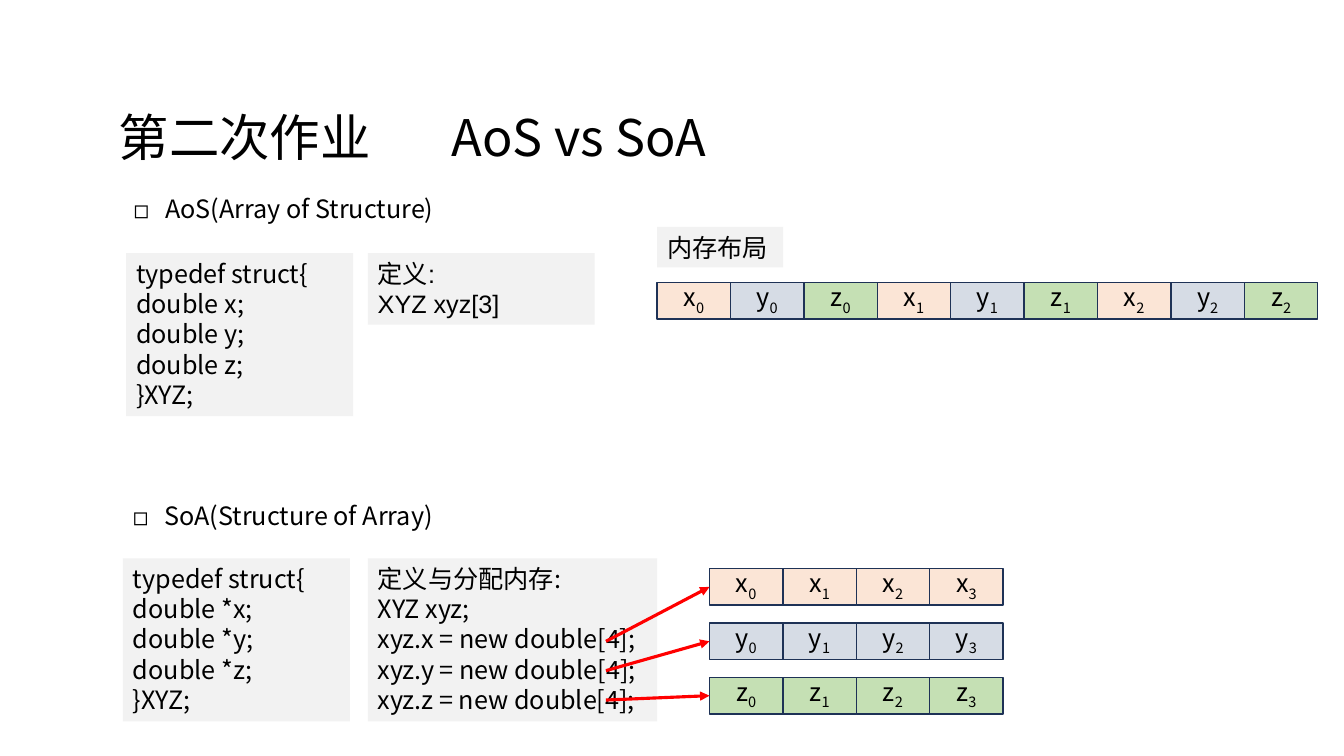
from lxml.etree import SubElement
from pptx import Presentation
from pptx.dml.color import RGBColor
from pptx.enum.shapes import MSO_CONNECTOR as CONNECTOR, MSO_SHAPE as SHAPE
from pptx.enum.text import MSO_ANCHOR as ANCHOR, PP_ALIGN as ALIGN
from pptx.oxml.ns import qn
from pptx.util import Cm, Pt

BLACK = RGBColor(0x00, 0x00, 0x00)
PANEL_GRAY = RGBColor(0xF2, 0xF2, 0xF2)
CELL_BORDER = RGBColor(0x1E, 0x32, 0x56)
ARROW_RED = RGBColor(0xFF, 0x00, 0x00)
FIELD_COLORS = {
    "x": RGBColor(0xFB, 0xE5, 0xD6),
    "y": RGBColor(0xD6, 0xDC, 0xE5),
    "z": RGBColor(0xC5, 0xE0, 0xB4),
}
SANS = "Noto Sans CJK SC"
CELL_W, CELL_H = 1.85, 0.92
ROW_PITCH = 1.37
LINE_PITCH = Pt(21.6)


def style_run(run, size=18, font=SANS):
    run.font.size = Pt(size)
    run.font.name = font
    run.font.color.rgb = BLACK
    SubElement(run._r.get_or_add_rPr(), qn("a:ea"), typeface=SANS)


def add_text(slide, box, text, size, spacing, anchor=ANCHOR.TOP):
    label = slide.shapes.add_textbox(*map(Cm, box))
    frame = label.text_frame
    frame.word_wrap = True
    frame.vertical_anchor = anchor
    frame.text = text
    paragraph = frame.paragraphs[0]
    paragraph.line_spacing = spacing
    style_run(paragraph.runs[0], size)
    return paragraph


def add_rect(slide, box, fill):
    rect = slide.shapes.add_shape(SHAPE.RECTANGLE, *map(Cm, box))
    rect.shadow.inherit = False
    rect.fill.solid()
    rect.fill.fore_color.rgb = fill
    rect.line.fill.background()
    return rect


def add_title(slide, box, text):
    add_text(slide, box, text, 36, 0.9, ANCHOR.MIDDLE)


def add_heading(slide, box, text):
    heading = add_text(slide, box, text, 18, Pt(34))
    props = heading._p.get_or_add_pPr()
    props.set("marL", str(Cm(0.79)))
    props.set("indent", str(-Cm(0.79)))
    SubElement(props, qn("a:buFont"), typeface=SANS)
    SubElement(props, qn("a:buChar"), char="◻")


def add_panel(slide, box, text, font=SANS):
    """Gray panel with left-aligned lines of text."""
    frame = add_rect(slide, box, PANEL_GRAY).text_frame
    frame.word_wrap = True
    frame.vertical_anchor = ANCHOR.TOP
    frame.text = text
    for line in frame.paragraphs:
        line.alignment = ALIGN.LEFT
        line.line_spacing = LINE_PITCH
        style_run(line.runs[0], font=font)


def add_memory_row(slide, left, top, elements):
    """Adjoining memory cells, one per (field, index) pair."""
    for position, (field, index) in enumerate(elements):
        box = (left + position * CELL_W, top, CELL_W, CELL_H)
        cell = add_rect(slide, box, FIELD_COLORS[field])
        cell.line.color.rgb = CELL_BORDER
        cell.line.width = Pt(1)
        cell.text_frame.vertical_anchor = ANCHOR.MIDDLE
        paragraph = cell.text_frame.paragraphs[0]
        paragraph.alignment = ALIGN.CENTER
        paragraph.line_spacing = LINE_PITCH
        for text in (field, str(index)):
            run = paragraph.add_run()
            run.text = text
            style_run(run)
        run.font._element.set("baseline", "-25000")


def add_arrow(slide, start, end):
    arrow = slide.shapes.add_connector(CONNECTOR.STRAIGHT, *map(Cm, start + end))
    arrow.line.color.rgb = ARROW_RED
    arrow.line.width = Pt(2.25)
    SubElement(arrow.line._get_or_add_ln(), qn("a:tailEnd"), type="triangle")
    SubElement(arrow._element.spPr, qn("a:effectLst"))


def add_aos_section(slide, left, top):
    add_heading(slide, (left, top, 25.65, 1.3), "AoS(Array of Structure)")
    code_top = top + 2.06
    add_panel(slide, (left + 0.06, code_top, 5.72, 4.11),
              "typedef struct{\ndouble x;\ndouble y;\ndouble z;\n}XYZ;")
    add_panel(slide, (left + 6.15, code_top, 5.72, 1.8),
              "定义:\nXYZ xyz[3]", "Arial")
    # Fields of each structure lie next to each other
    layout_left = left + 13.44
    add_panel(slide, (layout_left, top + 1.4, 3.18, 1.02), "内存布局", "Arial")
    add_memory_row(slide, layout_left, top + 2.8,
                   [(field, i) for i in range(3) for field in FIELD_COLORS])


def add_soa_section(slide, left, top):
    add_heading(slide, (left, top, 8.84, 1.3), "SoA(Structure of Array)")
    code_top = top + 2.03
    add_panel(slide, (left, code_top, 5.72, 4.11),
              "typedef struct{\ndouble *x;\ndouble *y;\ndouble *z;\n}XYZ;")
    allocations = [f"xyz.{field} = new double[4];" for field in FIELD_COLORS]
    add_panel(slide, (left + 6.17, code_top, 7.29, 4.11),
              "\n".join(["定义与分配内存:", "XYZ xyz;"] + allocations))
    # One array per field, with an arrow from its allocation
    array_left = left + 14.78
    for i, field in enumerate(FIELD_COLORS):
        row_top = top + 2.29 + i * ROW_PITCH
        add_memory_row(slide, array_left, row_top, [(field, n) for n in range(4)])
        add_arrow(slide, (left + 12.17, top + 4.12 + i * 0.74),
                  (array_left, row_top + CELL_H / 2))


def main():
    deck = Presentation()
    deck.slide_width, deck.slide_height = Cm(33.87), Cm(19.05)
    slide = deck.slides.add_slide(deck.slide_layouts[6])
    add_title(slide, (2.74, 2.72, 7.09, 1.63), "第二次作业")
    add_title(slide, (11.13, 2.72, 7.09, 1.63), "AoS vs SoA")
    add_aos_section(slide, 3.12, 4.32)
    add_soa_section(slide, 3.1, 12.04)
    deck.save("out.pptx")


if __name__ == "__main__":
    main()
